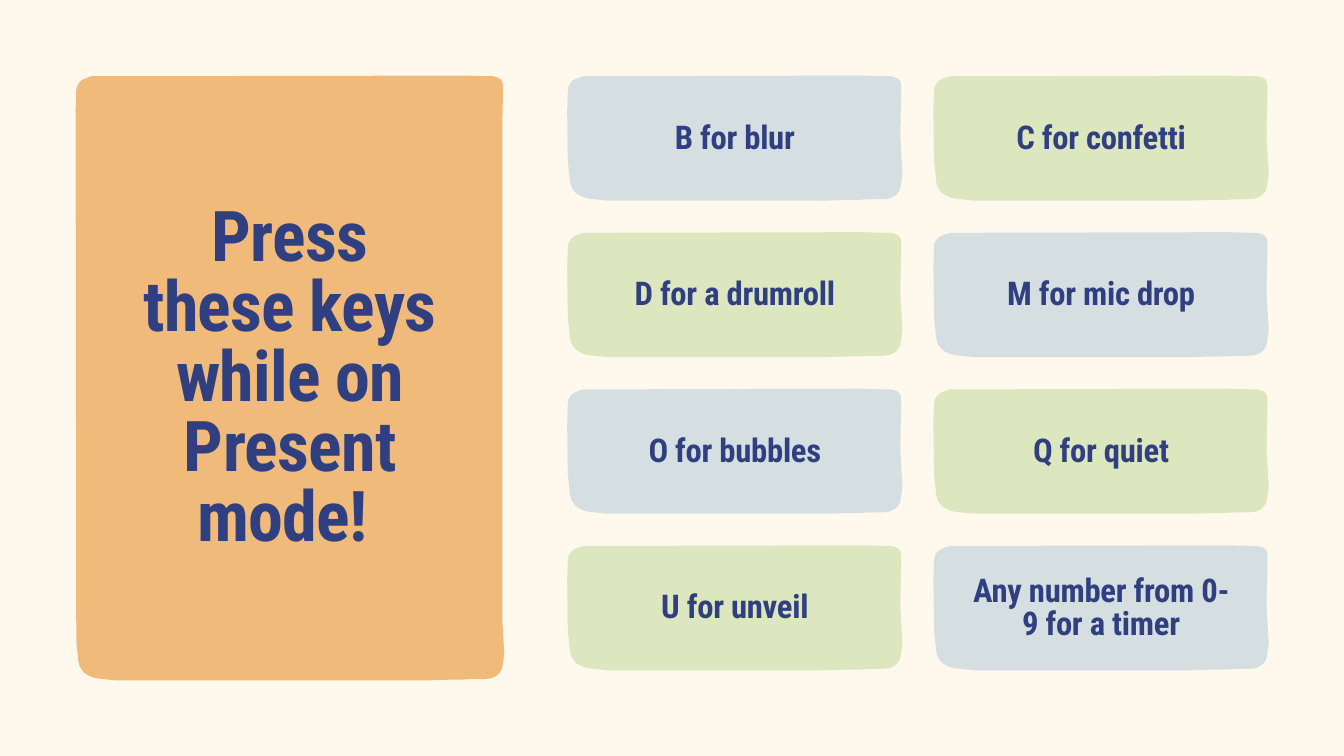
from pptx import Presentation
from pptx.dml.color import RGBColor
from pptx.enum.text import MSO_AUTO_SIZE, PP_ALIGN
from pptx.util import Inches, Pt

WIDTH, HEIGHT = 20, 11.25
MARGIN = 0.1 * HEIGHT
FONT = "Roboto Condensed"
COLORS = {
    "cream": "FFF8ED",
    "orange": "F0BA7A",
    "blue": "D5DEE1",
    "green": "DCE6BF",
    "navy": "303F80",
}
GRID_LEFT, GRID_TOP = 8.44, MARGIN
COLUMN_STEP, ROW_STEP = 5.45, 2.33
CARD_WIDTH, CARD_HEIGHT = 4.99, 1.86
PANEL_WIDTH, PANEL_HEIGHT = 6.38, 0.8 * HEIGHT
TITLE = ["Press", "these keys", "while on Present mode! "]
KEYS = [
    ["B for blur", "C for confetti"],
    ["D for a drumroll", "M for mic drop"],
    ["O for bubbles", "Q for quiet"],
    ["U for unveil", "Any number from 0-9 for a timer"],
]
CORNERS = {
    ("left", "top"): [
        (0, 0.54), (0.01, 0.22), (0.02, 0.16), (0.05, 0.11), (0.09, 0.07),
        (0.13, 0.05), (0.18, 0.03), (0.24, 0.01), (0.35, 0.01),
    ],
    ("right", "top"): [
        (0.61, 0), (0.25, 0.01), (0.17, 0.01), (0.1, 0.03), (0.06, 0.05),
        (0.03, 0.09), (0.02, 0.14), (0.02, 0.27), (0.03, 0.73),
    ],
    ("right", "bottom"): [
        (0.03, 0.9), (0.01, 0.55), (0, 0.42), (0.02, 0.25), (0.04, 0.16),
        (0.08, 0.1), (0.13, 0.06), (0.2, 0.03), (0.3, 0.02), (0.49, 0.02),
        (0.66, 0.01), (0.83, 0.01), (1.14, 0),
    ],
    ("left", "bottom"): [
        (0.98, 0), (0.6, 0), (0.41, 0.02), (0.32, 0.03), (0.24, 0.05),
        (0.18, 0.08), (0.13, 0.11), (0.09, 0.16), (0.06, 0.21),
        (0.04, 0.29), (0.03, 0.4), (0.01, 0.59),
    ],
}


def color(name):
    """Return the named palette colour."""
    return RGBColor.from_string(COLORS[name])


def add_card(page, left, top, width, height, fill):
    """Draw a hand-cut card whose corners keep their size."""
    points = [
        (
            Inches(left + (x if side == "left" else width - x)),
            Inches(top + (y if edge == "top" else height - y)),
        )
        for (side, edge), offsets in CORNERS.items()
        for x, y in offsets
    ]
    builder = page.shapes.build_freeform(*points[0])
    builder.add_line_segments(points[1:], close=True)
    card = builder.convert_to_shape()
    card.shadow.inherit = False
    card.fill.solid()
    card.fill.fore_color.rgb = color(fill)
    card.line.fill.background()


def add_label(page, frame, box_width, box_height, lines, size, spacing):
    """Centre bold text in a frame, set slightly low for its ascenders."""
    left, top, width, height = frame
    drop = size / 1200
    box = page.shapes.add_textbox(
        Inches(left + (width - box_width) / 2),
        Inches(top + (height - box_height) / 2 + drop),
        Inches(box_width),
        Inches(box_height),
    )
    text = box.text_frame
    text.margin_left = text.margin_right = 0
    text.margin_top = text.margin_bottom = 0
    text.word_wrap = True
    text.auto_size = MSO_AUTO_SIZE.SHAPE_TO_FIT_TEXT
    for index, line in enumerate(lines):
        para = text.add_paragraph() if index else text.paragraphs[0]
        para.alignment = PP_ALIGN.CENTER
        para.line_spacing = Pt(size)
        span = para.add_run()
        span.text = line
        span.font.name = FONT
        span.font.size = Pt(size)
        span.font.bold = True
        span.font.color.rgb = color("navy")
        span.font._element.set("spc", str(spacing))


def add_title_panel(page):
    """Add the tall panel with the heading."""
    frame = (MARGIN, MARGIN, PANEL_WIDTH, PANEL_HEIGHT)
    add_card(page, *frame, "orange")
    add_label(page, frame, 5.51, 5.27, TITLE, 75, -80)


def add_key_card(page, row, column, label):
    """Add one shortcut card at its place in the grid."""
    frame = (
        GRID_LEFT + column * COLUMN_STEP,
        GRID_TOP + row * ROW_STEP,
        CARD_WIDTH,
        CARD_HEIGHT,
    )
    add_card(page, *frame, ("blue", "green")[(row + column) % 2])
    box_height = 0.99 if len(label) > 20 else 0.51
    add_label(page, frame, 3.89, box_height, [label], 35, -30)


def main():
    """Build the slide and save it."""
    deck = Presentation()
    deck.slide_width, deck.slide_height = Inches(WIDTH), Inches(HEIGHT)
    page = deck.slides.add_slide(deck.slide_layouts[6])
    page.background.fill.solid()
    page.background.fill.fore_color.rgb = color("cream")
    add_title_panel(page)
    for row, labels in enumerate(KEYS):
        for column, label in enumerate(labels):
            add_key_card(page, row, column, label)
    deck.save("out.pptx")


if __name__ == "__main__":
    main()
